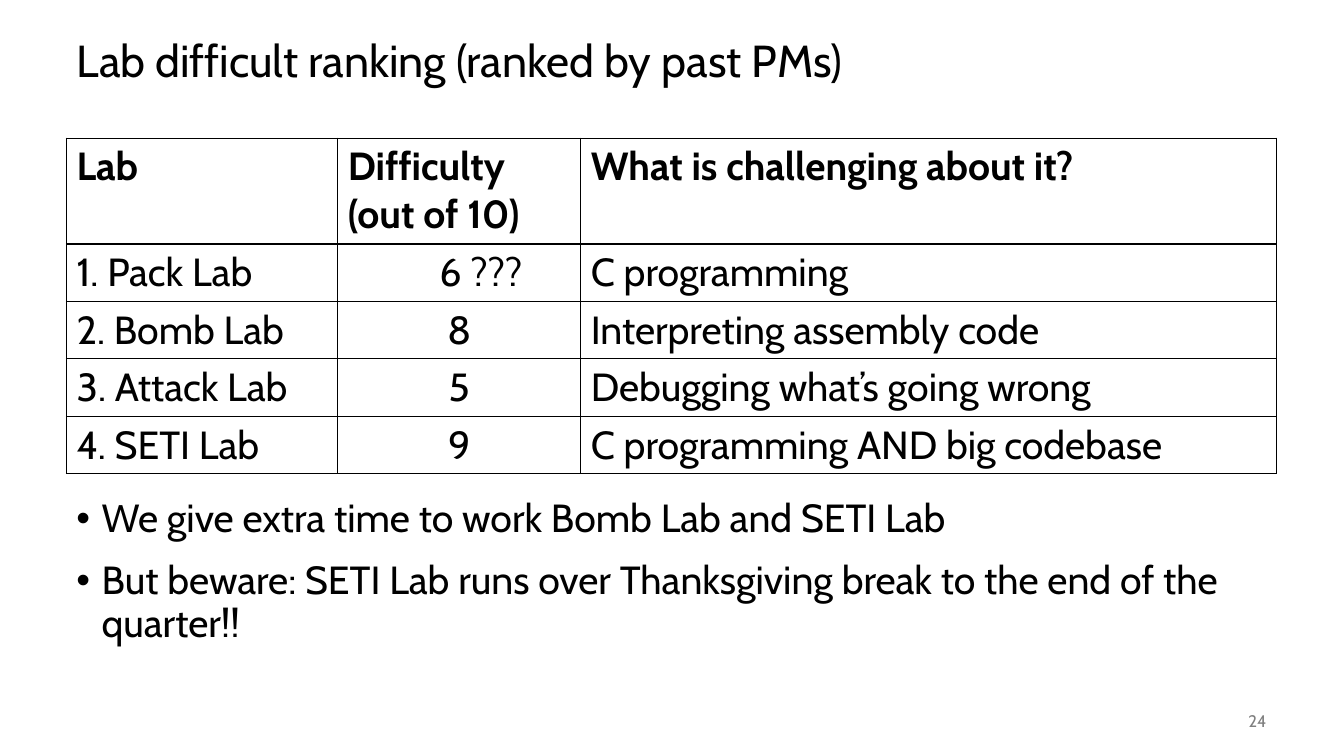
from lxml.etree import SubElement
from pptx import Presentation
from pptx.dml.color import RGBColor
from pptx.enum.text import MSO_ANCHOR, MSO_AUTO_SIZE, PP_ALIGN
from pptx.oxml import parse_xml
from pptx.oxml.ns import nsdecls, qn
from pptx.util import Inches, Pt

INK, GREY = "000000", "808080"
LEFT, WIDTH = 0.66, 12
COLUMN_WIDTHS = (2.69, 2.41, 6.9)
HEADER_HEIGHT, ROW_HEIGHT = 1.05, 0.57
LABS = [
    ("Lab", "Difficulty (out of 10)", "What is challenging about it?"),
    ("1. Pack Lab", "6 ???", "C programming"),
    ("2. Bomb Lab", "8", "Interpreting assembly code"),
    ("3. Attack Lab", "5", "Debugging what’s going wrong"),
    ("4. SETI Lab", "9", "C programming AND big codebase"),
]
ADVICE = [
    "We give extra time to work Bomb Lab and SETI Lab",
    "But beware: SETI Lab runs over Thanksgiving break to the end of the quarter!!",
]


def color(hex_value):
    return RGBColor.from_string(hex_value)


def write(paragraph, text, size, ink=INK, bold=False, **layout):
    run = paragraph.add_run()
    run.text = text
    run.font.color.rgb = color(ink)
    for name, value in {"name": "Cabin", "size": Pt(size), "bold": bold}.items():
        setattr(run.font, name, value)
    for name, value in layout.items():
        setattr(paragraph, name, value)


def add_bullet(paragraph, indent=0.25):
    properties = paragraph._p.get_or_add_pPr()
    properties.set("marL", str(Inches(indent)))
    properties.set("indent", str(-Inches(indent)))
    SubElement(properties, qn("a:buFont")).set("typeface", "Arial")
    SubElement(properties, qn("a:buChar")).set("char", "•")


def add_borders(cell):
    properties = cell._tc.get_or_add_tcPr()
    for position, side in enumerate("LRTB"):
        properties.insert(position, parse_xml(
            f'<a:ln{side} {nsdecls("a")} w="{Pt(1)}"><a:solidFill>'
            f'<a:srgbClr val="{INK}"/></a:solidFill></a:ln{side}>'))


def place_title(slide, box):
    title = slide.shapes.title
    for name, value in zip(("left", "top", "width", "height"), box):
        setattr(title, name, Inches(value))
    frame = title.text_frame
    for name, value in {"auto_size": MSO_AUTO_SIZE.NONE, "word_wrap": True,
                        "vertical_anchor": MSO_ANCHOR.MIDDLE}.items():
        setattr(frame, name, value)
    write(frame.paragraphs[0], "Lab difficult ranking (ranked by past PMs)", 32,
          alignment=PP_ALIGN.LEFT, line_spacing=0.9)


def place_ranking(slide, box):
    ranking = slide.shapes.add_table(
        len(LABS), len(COLUMN_WIDTHS), *map(Inches, box)).table
    for column, width in zip(ranking.columns, COLUMN_WIDTHS):
        column.width = Inches(width)
    for r, lab in enumerate(LABS):
        ranking.rows[r].height = Inches(ROW_HEIGHT if r else HEADER_HEIGHT)
        for c, text in enumerate(lab):
            cell = ranking.cell(r, c)
            cell.fill.background()
            add_borders(cell)
            centred = r > 0 and c == 1
            write(cell.text_frame.paragraphs[0], text, 28, bold=r == 0,
                  alignment=PP_ALIGN.CENTER if centred else PP_ALIGN.LEFT)
    # The uncertain score sits right of the column's centre
    ranking.cell(1, 1).margin_left = Inches(0.53)


def place_advice(slide, box):
    frame = slide.shapes.add_textbox(*map(Inches, box)).text_frame
    frame.word_wrap = True
    for i, text in enumerate(ADVICE):
        paragraph = frame.add_paragraph() if i else frame.paragraphs[0]
        add_bullet(paragraph)
        write(paragraph, text, 28, line_spacing=0.9, space_before=Pt(14 if i else 0))


def place_page_number(slide, box):
    frame = slide.shapes.add_textbox(*map(Inches, box)).text_frame
    frame.word_wrap = True
    frame.vertical_anchor = MSO_ANCHOR.MIDDLE
    write(frame.paragraphs[0], "24", 12, GREY, alignment=PP_ALIGN.RIGHT)


def main():
    deck = Presentation()
    deck.slide_width, deck.slide_height = Inches(13.33), Inches(7.5)
    slide = deck.slides.add_slide(deck.slide_layouts[5])
    table_height = HEADER_HEIGHT + ROW_HEIGHT * (len(LABS) - 1)
    place_title(slide, (LEFT, 0.25, WIDTH, 0.75))
    place_advice(slide, (LEFT, 4.9, WIDTH, 1.85))
    place_page_number(slide, (LEFT + WIDTH - 1, 6.95, 1, 0.4))
    place_ranking(slide, (LEFT, 1.37, WIDTH, table_height))
    deck.save("out.pptx")


if __name__ == "__main__":
    main()
